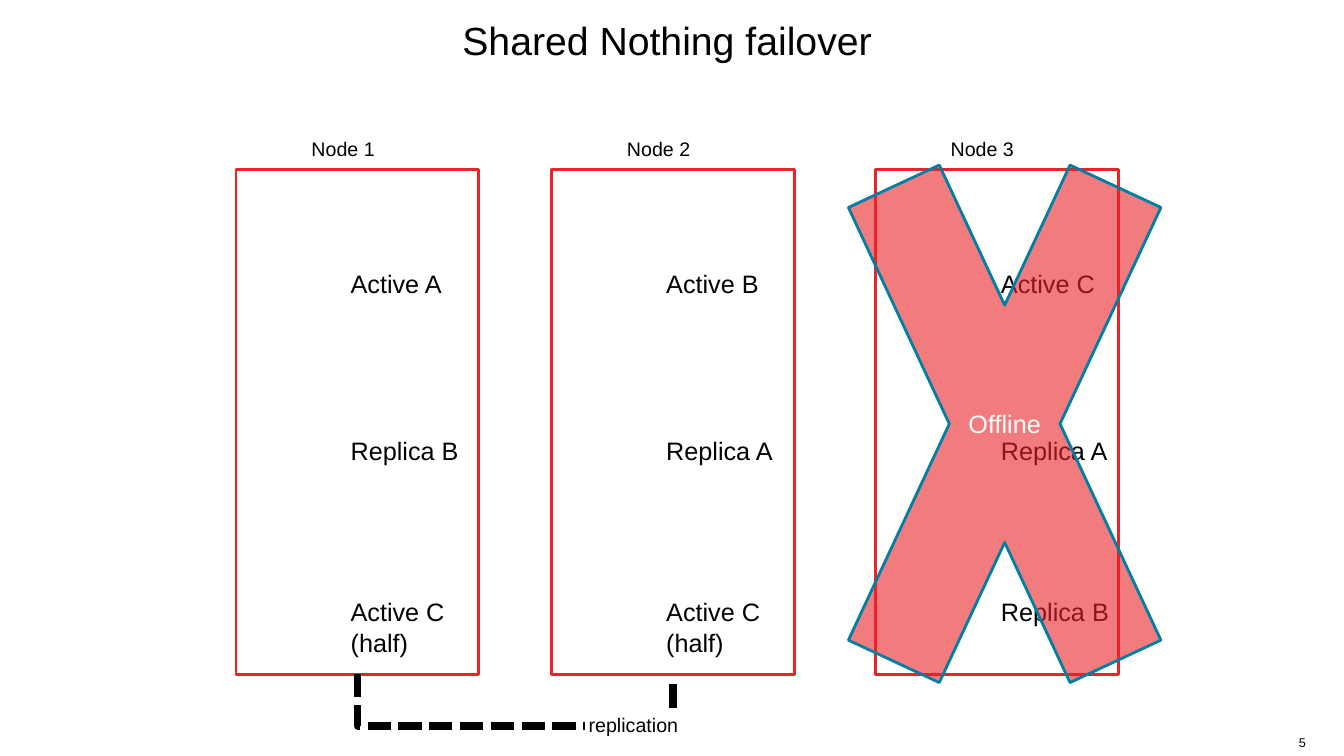
"""Build the slide showing failover between three shared-nothing nodes."""
from lxml.etree import SubElement
from pptx import Presentation
from pptx.dml.color import RGBColor
from pptx.enum.dml import MSO_LINE
from pptx.enum.shapes import MSO_CONNECTOR as Connector, MSO_SHAPE as Shape
from pptx.enum.text import MSO_ANCHOR as Anchor, MSO_AUTO_SIZE as AutoSize, PP_ALIGN as Align
from pptx.oxml.ns import qn
from pptx.util import Inches, Pt

TITLE = "Shared Nothing failover"
NODES = [
    {"name": "Node 1", "left": 2.34, "indent": 1.04, "items": ["Active A", "Replica B", "Active C (half)"]},
    {"name": "Node 2", "left": 5.47, "indent": 1.04, "items": ["Active B", "Replica A", "Active C (half)"]},
    {"name": "Node 3", "left": 8.68, "indent": 1.15, "items": ["Active C", "Replica A", "Replica B"]},
]
ITEM_TOPS = [2.61, 4.27, 5.87]
NODE_TOP, NODE_WIDTH, NODE_HEIGHT = 1.68, 2.41, 5.01
NODE_BOTTOM = NODE_TOP + NODE_HEIGHT
LABEL_WIDTH, LABEL_HEIGHT = 1.19, 0.4
LINK_DROP, LINK_RUN = 0.51, 2.26
COLORS = {"red": "EA2328", "blue": "007FA6", "black": "000000", "white": "FFFFFF"}


def color(name):
    return RGBColor.from_string(COLORS[name])


def style_text(paragraph, size, font_color="black", align=Align.LEFT):
    paragraph.alignment = align
    paragraph.font.name = "Arial"
    paragraph.font.size = Pt(size)
    paragraph.font.color.rgb = color(font_color)


def add_text(slide, text, box, size, align=Align.LEFT, anchor=Anchor.TOP):
    frame = slide.shapes.add_textbox(*map(Inches, box)).text_frame
    frame.word_wrap = True
    frame.vertical_anchor = anchor
    frame.text = text
    style_text(frame.paragraphs[0], size, align=align)


def add_box(slide, preset, box, fill, line):
    shape = slide.shapes.add_shape(preset, *map(Inches, box))
    shape.shadow.inherit = False
    shape.fill.solid()
    shape.fill.fore_color.rgb = color(fill)
    shape.line.color.rgb = color(line)
    shape.line.width = Pt(2)
    return shape


def add_dashed_line(slide, kind, *ends):
    connector = slide.shapes.add_connector(kind, *map(Inches, ends))
    connector.line.color.rgb = color("black")
    connector.line.width = Pt(5.5)
    connector.line.dash_style = MSO_LINE.SQUARE_DOT
    SubElement(connector.element.spPr, qn("a:effectLst"))
    return connector


def add_node(slide, node):
    left = node["left"]
    label_left = left + (NODE_WIDTH - LABEL_WIDTH) / 2 + 0.04
    add_text(slide, node["name"], (label_left, 1.31, LABEL_WIDTH, LABEL_HEIGHT), 14)
    add_box(slide, Shape.RECTANGLE, (left, NODE_TOP, NODE_WIDTH, NODE_HEIGHT), "white", "red")
    for item, top in zip(node["items"], ITEM_TOPS):
        add_text(slide, item, (left + node["indent"], top, 1.54, LABEL_HEIGHT), 18)


def add_replication_link(slide):
    start = NODES[0]["left"] + NODE_WIDTH / 2
    center_x, center_y = start + LINK_RUN / 2, NODE_BOTTOM + LINK_DROP / 2
    elbow = add_dashed_line(
        slide, Connector.ELBOW,
        center_x + LINK_DROP / 2, center_y - LINK_RUN / 2,
        center_x - LINK_DROP / 2, center_y + LINK_RUN / 2)
    properties = elbow.element.spPr
    properties.find(qn("a:prstGeom")).set("prst", "bentConnector2")
    properties.find(qn("a:xfrm")).set("rot", str(270 * 60000))
    end = NODES[1]["left"] + NODE_WIDTH / 2
    add_dashed_line(slide, Connector.STRAIGHT, end, NODE_BOTTOM + 0.1, end, 7.03)
    add_text(slide, "replication", (5.74, 7.02, 1.56, 0.34), 14)


def add_offline_cross(slide):
    cross = add_box(slide, Shape.MATH_MULTIPLY, (7.85, -0.33, 4.23, 9.07), "red", "blue")
    fill_color = cross.element.spPr.find(qn("a:solidFill")).find(qn("a:srgbClr"))
    SubElement(fill_color, qn("a:alpha")).set("val", "60000")
    frame = cross.text_frame
    frame.vertical_anchor = Anchor.MIDDLE
    frame.text = "Offline"
    style_text(frame.paragraphs[0], 18, "white", Align.CENTER)


def set_title(slide):
    title = slide.shapes.title
    title.left, title.top, title.width, title.height = map(Inches, (0.77, 0.18, 11.79, 0.48))
    frame = title.text_frame
    frame.text = TITLE
    frame.auto_size = AutoSize.NONE
    frame.vertical_anchor = Anchor.MIDDLE
    frame.margin_left = 0
    frame.paragraphs[0].line_spacing = 0.9
    style_text(frame.paragraphs[0], 28, align=Align.CENTER)


def main():
    presentation = Presentation()
    presentation.slide_width, presentation.slide_height = Inches(13.33), Inches(7.5)
    slide = presentation.slides.add_slide(presentation.slide_layouts[5])
    set_title(slide)
    add_text(slide, "5", (12.69, 7.24, 0.36, 0.25), 9, Align.RIGHT, Anchor.BOTTOM)
    for node in NODES:
        add_node(slide, node)
    add_replication_link(slide)
    add_offline_cross(slide)
    presentation.save("out.pptx")


if __name__ == "__main__":
    main()
